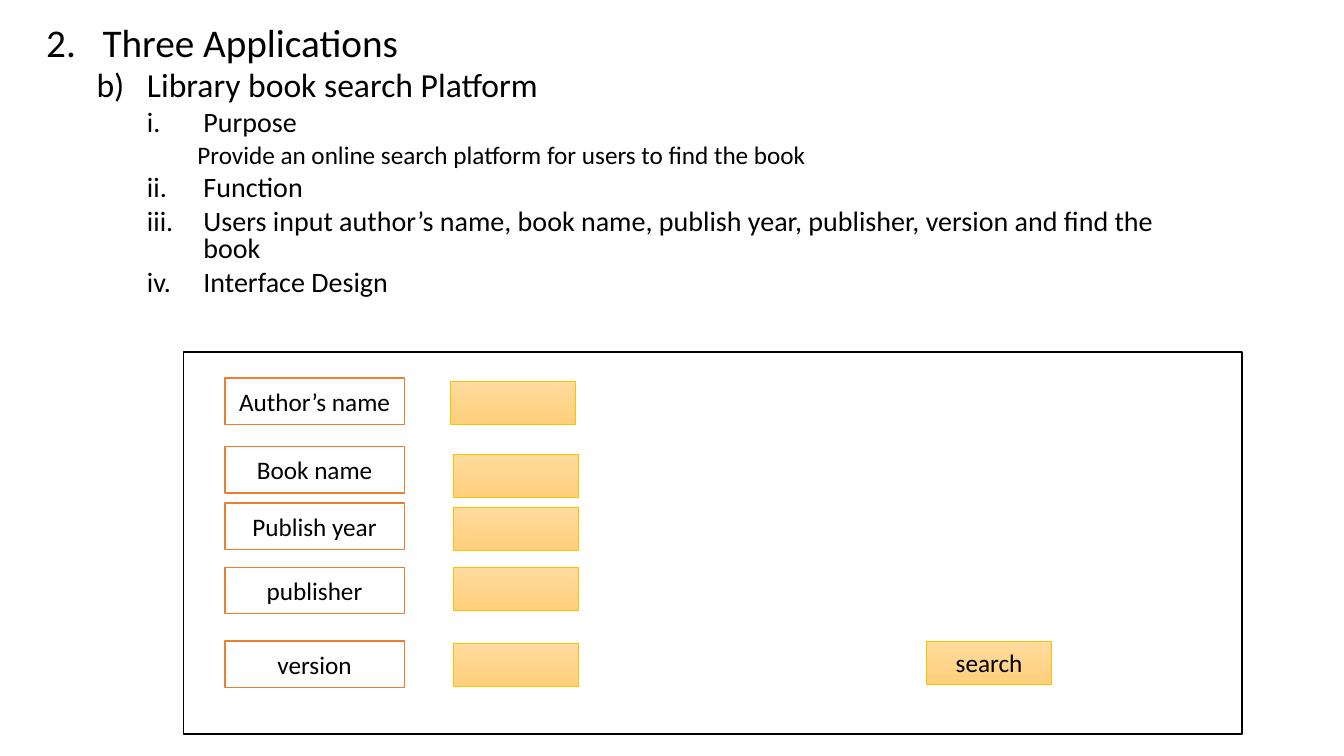
import pptx
import pptx.dml.color
import pptx.enum.shapes
import pptx.enum.text
import pptx.oxml.ns
import pptx.util
from lxml import etree

Inches = pptx.util.Inches
Pt = pptx.util.Pt


def color(value):
    return pptx.dml.color.RGBColor.from_string(value)


class SlideBuilder:
    FONT = "Calibri"
    TEXT = "000000"
    WHITE = "FFFFFF"
    FIELD_GRADIENT = ("FFDB9E", "FFD07C")
    # level: left margin, hanging indent, space before, size, numbering, first number
    OUTLINE = {
        0: (0.56, -0.56, 10, 28, "arabicPeriod", 2),
        1: (1, -0.5, 5, 24, "alphaLcParenR", 2),
        2: (1.56, -0.56, 5, 20, "romanLcPeriod", 1),
        3: (1.5, 0, 5, 18, None, None),
    }

    def __init__(self, slide):
        self.slide = slide

    def add_text(self, paragraph, text, size):
        run = paragraph.add_run()
        run.text = text
        for name, value in {"name": self.FONT, "size": Pt(size)}.items():
            setattr(run.font, name, value)
        run.font.color.rgb = color(self.TEXT)

    def box(self, position, line, width, text="", gradient=None):
        """Add a bordered rectangle, white unless a gradient is given."""
        shape = self.slide.shapes.add_shape(
            pptx.enum.shapes.MSO_SHAPE.RECTANGLE, *map(Inches, position))
        shape.shadow.inherit = False
        shape.line.color.rgb = color(line)
        shape.line.width = Pt(width)
        if gradient:
            shape.fill.gradient()
            shape.fill.gradient_angle = 270
            for stop, value in zip(shape.fill.gradient_stops, gradient):
                stop.color.rgb = color(value)
        else:
            shape.fill.solid()
            shape.fill.fore_color.rgb = color(self.WHITE)
        if text:
            shape.text_frame.vertical_anchor = pptx.enum.text.MSO_ANCHOR.MIDDLE
            paragraph = shape.text_frame.paragraphs[0]
            paragraph.alignment = pptx.enum.text.PP_ALIGN.CENTER
            self.add_text(paragraph, text, 18)

    def label(self, top, text):
        self.box((2.23, top, 1.78, 0.46), "ED7D31", 1, text)

    def field(self, left, top, text=""):
        self.box((left, top, 1.24, 0.43), "FFC000", 0.5, text, self.FIELD_GRADIENT)

    def outline(self, position, items):
        """Add a numbered multilevel list from (level, text) pairs."""
        shape = self.slide.shapes.add_textbox(*map(Inches, position))
        shape.fill.solid()
        shape.fill.fore_color.rgb = color(self.WHITE)
        frame = shape.text_frame
        frame.word_wrap = True
        for index, (level, text) in enumerate(items):
            paragraph = frame.add_paragraph() if index else frame.paragraphs[0]
            margin, indent, before, size, numbering, start = self.OUTLINE[level]
            formats = {"level": level, "line_spacing": 0.8, "space_before": Pt(before)}
            for name, value in formats.items():
                setattr(paragraph, name, value)
            properties = paragraph._p.get_or_add_pPr()
            properties.set("marL", str(Inches(margin)))
            properties.set("indent", str(Inches(indent)))
            if numbering:
                bullet = etree.SubElement(properties, pptx.oxml.ns.qn("a:buAutoNum"))
                bullet.set("type", numbering)
                if start > 1:
                    bullet.set("startAt", str(start))
            self.add_text(paragraph, text, size)


def main():
    presentation = pptx.Presentation()
    presentation.slide_width = Inches(13.33)
    presentation.slide_height = Inches(7.5)
    builder = SlideBuilder(presentation.slides.add_slide(presentation.slide_layouts[6]))

    builder.box((1.82, 3.49, 10.5, 3.79), "000000", 1)
    builder.outline((0.36, 0.22, 11.5, 2.93), [
        (0, "Three Applications"),
        (1, "Library book search Platform"),
        (2, "Purpose"),
        (3, "Provide an online search platform for users to find the book"),
        (2, "Function"),
        (2, "Users input author’s name, book name, publish year, publisher, "
            "version and find the book"),
        (2, "Interface Design"),
    ])

    search_fields = [
        ("Author’s name", 3.75, 4.47, 3.78),
        ("Book name", 4.43, 4.5, 4.51),
        ("Publish year", 4.99, 4.5, 5.03),
        ("publisher", 5.63, 4.5, 5.63),
        ("version", 6.36, 4.5, 6.38),
    ]
    for text, label_top, field_left, field_top in search_fields:
        builder.label(label_top, text)
        builder.field(field_left, field_top)
    builder.field(9.19, 6.36, "search")

    presentation.save("out.pptx")


if __name__ == "__main__":
    main()
